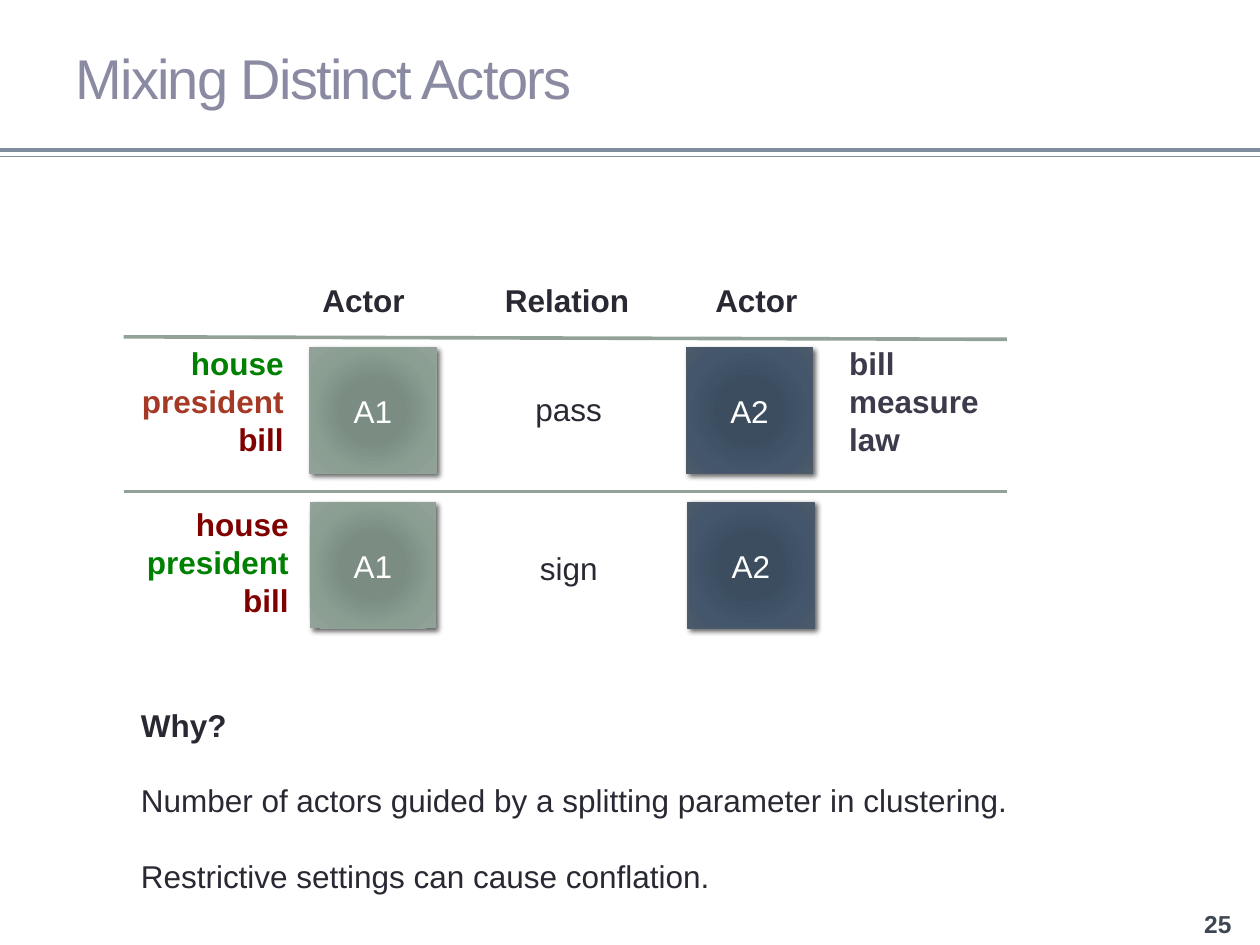
from dataclasses import dataclass

from lxml import etree
from pptx import Presentation
from pptx.dml.color import RGBColor
from pptx.enum import shapes, text
from pptx.oxml import ns, parse_xml
from pptx.util import Cm, Pt


@dataclass(frozen=True)
class Theme:
    font: str = "Arial"
    title_size: float = 32
    body_size: float = 18
    number_size: float = 14
    leading: float = 21.6
    ink: str = "292934"
    title: str = "8A8AA3"
    number: str = "3E4652"
    rule: str = "808DA0"
    divider: str = "93A299"
    right: str = "008000"
    partial: str = "A53926"
    wrong: str = "800000"
    object: str = "3B3B4B"
    white: str = "FFFFFF"
    # Gradient colours of the two actors, from the centre outwards
    agent: tuple = ("7B8E82", "7B8D83", "8A9E92", "93A299")
    patient: tuple = ("3B4D61", "3C4D60", "43566B", "4C5A6A")


THEME = Theme()
LEFT, CENTER, RIGHT = text.PP_ALIGN.LEFT, text.PP_ALIGN.CENTER, text.PP_ALIGN.RIGHT
MIDDLE, TOP = text.MSO_ANCHOR.MIDDLE, text.MSO_ANCHOR.TOP


def rgb(value):
    return RGBColor.from_string(value)


def write(frame, lines, align=LEFT, anchor=TOP, wrap=True, gap=0):
    """Fill a frame with (words, colour, bold) lines of body text."""
    frame.word_wrap = wrap
    frame.vertical_anchor = anchor
    for index, (words, colour, bold) in enumerate(lines):
        paragraph = frame.paragraphs[0] if index == 0 else frame.add_paragraph()
        paragraph.alignment = align
        paragraph.line_spacing = Pt(THEME.leading)
        if index:
            paragraph.space_before = Pt(gap)
        run = paragraph.add_run()
        run.text = words
        run.font.name = THEME.font
        run.font.size = Pt(THEME.body_size)
        run.font.bold = bold
        run.font.color.rgb = rgb(colour)
    return frame


def label(slide, box, lines, **layout):
    area = slide.shapes.add_textbox(*map(Cm, box))
    return write(area.text_frame, lines, **layout)


def rule(slide, start, end, colour, width):
    line = slide.shapes.add_connector(
        shapes.MSO_CONNECTOR.STRAIGHT, *map(Cm, (*start, *end)))
    line.line.color.rgb = rgb(colour)
    line.line.width = Pt(width)
    etree.SubElement(line._element.spPr, ns.qn("a:effectLst"))


def actor_square(slide, left, top, name, colours, outlined=True):
    square = slide.shapes.add_shape(
        shapes.MSO_SHAPE.RECTANGLE, Cm(left), Cm(top), Cm(2.54), Cm(2.54))
    if outlined:
        square.line.color.rgb = rgb(colours[-1])
        square.line.width = Pt(0.75)
    else:
        square.line.fill.background()
    # Radial gradient and soft shadow
    stops = "".join(
        f'<a:gs pos="{position}000"><a:srgbClr val="{colour}"/></a:gs>'
        for position, colour in zip((0, 34, 70, 100), colours))
    gradient = parse_xml(
        f'<a:gradFill {ns.nsdecls("a")} rotWithShape="1"><a:gsLst>{stops}</a:gsLst>'
        '<a:path path="circle"><a:fillToRect l="50000" t="50000" r="50000" b="50000"/>'
        '</a:path></a:gradFill>')
    shadow = parse_xml(
        f'<a:effectLst {ns.nsdecls("a")}>'
        '<a:outerShdw blurRad="38100" dist="25400" dir="2700000" rotWithShape="0">'
        '<a:srgbClr val="000000"><a:alpha val="60000"/></a:srgbClr>'
        '</a:outerShdw></a:effectLst>')
    properties = square._element.spPr
    properties.find(ns.qn("a:prstGeom")).addnext(gradient)
    properties.append(shadow)
    write(square.text_frame, [(name, THEME.white, False)], CENTER, MIDDLE)


def title_band(slide, left, top, width, height):
    frame = label(slide, (left + 1.27, top + 0.18, width - 2.54, 2.74),
                  [("Mixing Distinct Actors", THEME.title, False)], anchor=MIDDLE)
    paragraph = frame.paragraphs[0]
    paragraph.line_spacing = 1.0
    font = paragraph.runs[0].font
    font.size = Pt(THEME.title_size)
    font._element.set("spc", "-100")
    # Double rule under the title
    for y, weight in ((height - 0.13, 2.08), (height, 0.75)):
        rule(slide, (left, top + y), (left + width, top + y), THEME.rule, weight)


def column_heads(slide, left, top):
    for x, width, head in ((3.76, 2.18, "Actor"), (7.44, 3.05, "Relation"),
                           (11.68, 2.18, "Actor")):
        label(slide, (left + x, top, width, 1.02), [(head, THEME.ink, True)], wrap=False)


def relation_row(slide, left, top, width, relation, agents, patients=(),
                 agents_at=(0.1, 0.03), relation_top=0.95, patient_left=11.35,
                 drop=0.0, outlined=True):
    rule(slide, (left, top), (left + width, top + drop), THEME.divider, 2.08)
    x, y = agents_at
    label(slide, (left + x, top + y, 3.38, 2.57),
          [(word, colour, True) for word, colour in agents], align=RIGHT)
    actor_square(slide, left + 3.76, top + 0.22, "A1", THEME.agent, outlined)
    label(slide, (left + 7.26, top + relation_top, 3.43, 1.02),
          [(relation, THEME.ink, False)], align=CENTER)
    actor_square(slide, left + patient_left, top + 0.22, "A2", THEME.patient)
    if patients:
        label(slide, (left + 14.38, top + 0.03, 3.43, 2.57),
              [(word, THEME.object, True) for word in patients])


def actor_grid(slide, left, top, width):
    column_heads(slide, left, top)
    relation_row(slide, left, top + 1.25, width, "pass",
                 [("house", THEME.right), ("president", THEME.partial),
                  ("bill", THEME.wrong)],
                 patients=("bill", "measure", "law"), drop=0.05)
    relation_row(slide, left, top + 4.37, width, "sign",
                 [("house", THEME.wrong), ("president", THEME.right),
                  ("bill", THEME.wrong)],
                 agents_at=(0.2, 0.15), relation_top=1.04, patient_left=11.38,
                 outlined=False)


def explanation(slide, *box):
    panel = slide.shapes.add_shape(shapes.MSO_SHAPE.RECTANGLE, *map(Cm, box))
    panel.shadow.inherit = False
    panel.fill.solid()
    panel.fill.fore_color.rgb = rgb(THEME.white)
    panel.line.fill.background()
    write(panel.text_frame, [
        ("Why?", THEME.ink, True),
        ("Number of actors guided by a splitting parameter in clustering.",
         THEME.ink, False),
        ("Restrictive settings can cause conflation.", THEME.ink, False),
    ], gap=THEME.leading)


def page_number(slide, *box):
    frame = label(slide, box, [("25", THEME.number, True)], align=CENTER, anchor=MIDDLE)
    paragraph = frame.paragraphs[0]
    paragraph.line_spacing = 1.0
    paragraph.runs[0].font.size = Pt(THEME.number_size)


def main():
    deck = Presentation()
    deck.slide_width, deck.slide_height = Cm(25.4), Cm(19.05)
    slide = deck.slides.add_slide(deck.slide_layouts[6])
    title_band(slide, 0, 0, 25.4, 3.15)
    actor_grid(slide, 2.49, 5.54, 17.81)
    explanation(slide, 2.59, 14.1, 17.98, 4.11)
    page_number(slide, 23.7, 18.16, 1.7, 0.91)
    deck.save("out.pptx")


if __name__ == "__main__":
    main()
